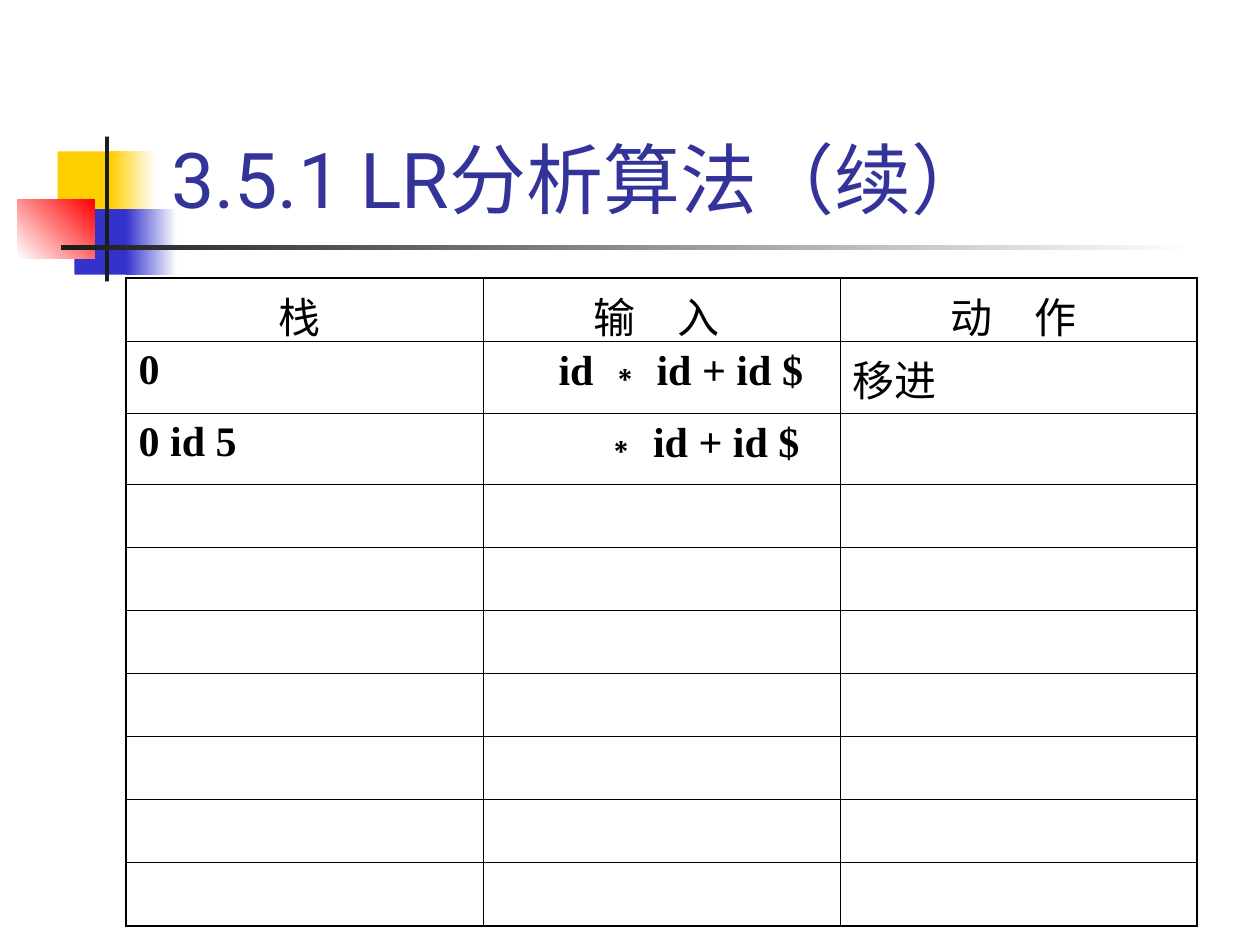
from lxml import etree
from pptx import Presentation
from pptx.dml.color import RGBColor
from pptx.enum import shapes, text
from pptx.oxml.ns import qn
from pptx.util import Pt

THEME = {
    "gold": "FFCF01", "blue": "3333CC", "red": "FF0000", "dark": "1C1C1C",
    "white": "FFFFFF", "title": "333399", "ink": "000000",
    "head": 44, "body": 24, "thick": 1.08, "thin": 0.45,
    "sans": "Roboto", "cjk": "Noto Sans CJK SC",
    "serif": "Times New Roman", "sign": "Arial",
}

TITLE = "3.5.1 LR分析算法（续）"

# left, top, width, height, colours (two make a gradient), angle
DECOR = [
    (33, 86.5, 35, 37.5, ["gold"], 0),
    (63, 86.5, 26, 37.5, ["gold", "white"], 0),
    (42.5, 119.5, 33, 37.5, ["blue"], 0),
    (72, 119.5, 29, 37.5, ["blue", "white"], 0),
    (10, 114, 44, 33.5, ["white", "red"], 45),
    (60, 78, 2.3, 82.8, ["dark"], 0),
    (34.7, 140.2, 648, 2.5, ["dark", "white"], 0),
]

HEADS = ["栈 ", "输　入 ", "动　作 "]
REST = [("∗", "sign"), (" id + id $", "serif")]
# Each cell: left indent, then runs of (words, font)
STEPS = [
    [(0, [("0", "serif")]), (36, [("id ", "serif")] + REST), (0, [("移进", "cjk")])],
    [(0, [("0 id 5", "serif")]), (60, REST)],
]
ROWS, COLS = 10, 3
LEFT, TOP, WIDTH = 72, 159, 612
TALL, LOW = 41, 36


def tint(name):
    return RGBColor.from_string(THEME[name])


def paint(shape, names, angle):
    fill = shape.fill
    if len(names) == 1:
        fill.solid()
        fill.fore_color.rgb = tint(names[0])
        return
    fill.gradient()
    fill.gradient_angle = angle
    for pos, (stop, name) in enumerate(zip(fill.gradient_stops, names)):
        stop.color.rgb = tint(name)
        stop.position = pos


def write(para, words, face, size, color="ink"):
    """Add a run with its Latin and East Asian fonts."""
    run = para.add_run()
    run.text = words
    look = {"name": THEME[face], "size": Pt(THEME[size]), "bold": face in ("serif", "sign")}
    for key, val in look.items():
        setattr(run.font, key, val)
    run.font.color.rgb = tint(color)
    latin = run.font._element.find(qn("a:latin"))
    east = etree.Element(qn("a:ea"), typeface=THEME["cjk"])
    latin.addnext(east)


def frame(cell, row, col):
    """Draw thick lines on the table's rim and thin ones inside."""
    rim = {"L": col == 0, "R": col == COLS - 1, "T": row == 0, "B": row == ROWS - 1}
    props = cell._tc.get_or_add_tcPr()
    for side, edge in rim.items():
        width = Pt(THEME["thick" if edge else "thin"])
        line = etree.SubElement(props, qn("a:ln" + side), w=str(int(width)))
        fill = etree.SubElement(line, qn("a:solidFill"))
        etree.SubElement(fill, qn("a:srgbClr"), val=THEME["ink"])
    cell.fill.background()


def add_decor(slide):
    for *place, names, angle in DECOR:
        box = slide.shapes.add_shape(shapes.MSO_SHAPE.RECTANGLE, *map(Pt, place))
        box.shadow.inherit = False
        box.line.fill.background()
        paint(box, names, angle)


def add_title(slide):
    box = slide.shapes.add_textbox(Pt(90.7), Pt(16.5), Pt(613.5), Pt(115.2))
    body = box.text_frame
    body.word_wrap = True
    body.vertical_anchor = text.MSO_ANCHOR.BOTTOM
    write(body.paragraphs[0], TITLE, "sans", "head", "title")


def add_steps(slide):
    high = [LOW, TALL, TALL] + [LOW] * (ROWS - 3)
    table = slide.shapes.add_table(
        ROWS, COLS, Pt(LEFT), Pt(TOP), Pt(WIDTH), Pt(sum(high))).table
    table.first_row = table.horz_banding = False
    for col in table.columns:
        col.width = Pt(WIDTH / COLS)
    for row, size in zip(table.rows, high):
        row.height = Pt(size)
    for row in range(ROWS):
        for col in range(COLS):
            frame(table.cell(row, col), row, col)
    for col, words in enumerate(HEADS):
        para = table.cell(0, col).text_frame.paragraphs[0]
        para.alignment = text.PP_ALIGN.CENTER
        write(para, words, "cjk", "body")
    for row, step in enumerate(STEPS, 1):
        for col, (indent, runs) in enumerate(step):
            para = table.cell(row, col).text_frame.paragraphs[0]
            if indent:
                para._p.get_or_add_pPr().set("marL", str(int(Pt(indent))))
            for words, face in runs:
                write(para, words, face, "body")


def main():
    deck = Presentation()
    deck.slide_width, deck.slide_height = Pt(720), Pt(540)
    slide = deck.slides.add_slide(deck.slide_layouts[6])
    add_decor(slide)
    add_title(slide)
    add_steps(slide)
    deck.save("out.pptx")


if __name__ == "__main__":
    main()
